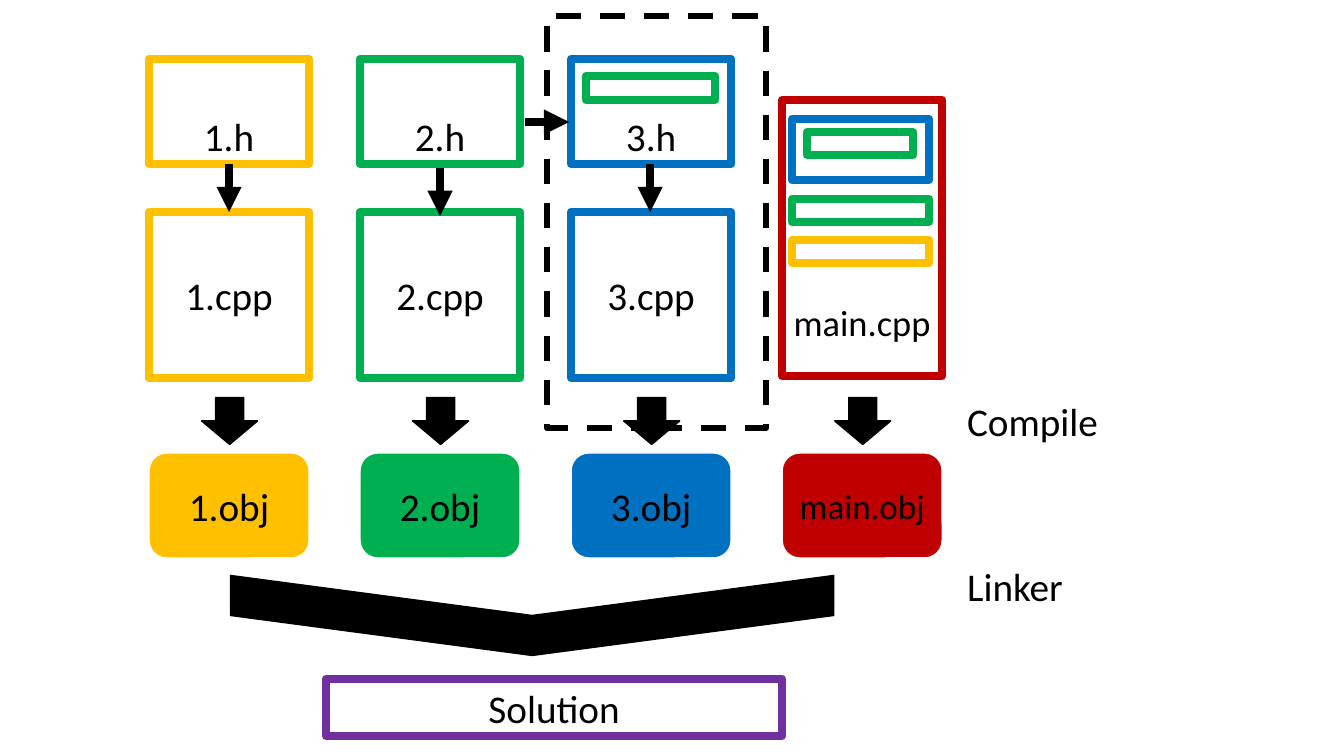
from dataclasses import dataclass
from typing import NamedTuple

from lxml import etree
from pptx import Presentation
from pptx import util as u
from pptx.dml.color import RGBColor
from pptx.enum import dml, shapes, text
from pptx.oxml import ns

PX = 914400 / 100.8


@dataclass(frozen=True)
class Theme:
    font: str = "Calibri"
    black: str = "000000"
    white: str = "FFFFFF"
    yellow: str = "FFC000"
    green: str = "00B050"
    blue: str = "0070C0"
    red: str = "C00000"
    purple: str = "7030A0"
    body: int = 28
    main_source: int = 26
    main_object: int = 25
    thick: float = 6
    dashed: float = 4.5
    thin: float = 1


class Area(NamedTuple):
    left: int
    top: int
    width: int
    height: int


class Unit(NamedTuple):
    name: str
    color: str
    source_top: int
    source_height: int
    source_size: int
    object_size: int
    source_anchor: text.MSO_ANCHOR = text.MSO_ANCHOR.MIDDLE
    source_inset: int = 5


class Include(NamedTuple):
    start: tuple[int, int]
    end: tuple[int, int]


class Strip(NamedTuple):
    area: Area
    color: str


THEME = Theme()
FIRST_LEFT, PITCH, BOX_WIDTH = 149, 211, 160
HEADER_TOP, HEADER_HEIGHT = 59, 105
OBJECT_TOP, OBJECT_HEIGHT = 453, 105
COMPILE_MIDDLE = 421
SHAPE = shapes.MSO_SHAPE

UNITS = [
    Unit(name, color, 212, 166, THEME.body, THEME.body)
    for name, color in (("1", THEME.yellow), ("2", THEME.green), ("3", THEME.blue))
] + [
    Unit("main", THEME.red, 100, 276, THEME.main_source, THEME.main_object,
         text.MSO_ANCHOR.BOTTOM, 32)
]
INCLUDES = [
    Include((229, 164), (229, 212)),
    Include((440, 168), (440, 216)),
    Include((650, 164), (650, 212)),
    Include((525, 122), (569, 122)),
]
STRIPS = [
    Strip(Area(586, 76, 129, 24), THEME.green),
    Strip(Area(792, 119, 137, 61), THEME.blue),
    Strip(Area(807, 132, 106, 23), THEME.green),
    Strip(Area(792, 199, 137, 23), THEME.green),
    Strip(Area(792, 240, 137, 23), THEME.yellow),
]
STAGES = {"Compile": Area(957, 392, 162, 57), "Linker": Area(957, 557, 120, 57)}

deck = Presentation()
deck.slide_width, deck.slide_height = u.Inches(13.33), u.Inches(7.5)
page = deck.slides.add_slide(deck.slide_layouts[6])


def emu(*pixels: int) -> list[int]:
    return [round(value * PX) for value in pixels]


def write(box, words: str, size: int, align: text.PP_ALIGN) -> None:
    box.text_frame.word_wrap = True
    para = box.text_frame.paragraphs[0]
    para.alignment = align
    span = para.add_run()
    span.text = words
    span.font.name = THEME.font
    span.font.size = u.Pt(size)
    span.font.color.rgb = RGBColor.from_string(THEME.black)


def add_box(kind: SHAPE, area: Area, line: str, weight: float, fill: str = ""):
    box = page.shapes.add_shape(kind, *emu(*area))
    box.shadow.inherit = False
    if fill:
        box.fill.solid()
        box.fill.fore_color.rgb = RGBColor.from_string(fill)
    else:
        box.fill.background()
    box.line.color.rgb = RGBColor.from_string(line)
    box.line.width = u.Pt(weight)
    return box


def add_frame(area: Area, color: str, words: str = "", size: int = THEME.body,
              anchor: text.MSO_ANCHOR = text.MSO_ANCHOR.MIDDLE, inset: int = 5) -> None:
    box = add_box(SHAPE.RECTANGLE, area, color, THEME.thick)
    if words:
        box.text_frame.vertical_anchor = anchor
        box.text_frame.margin_bottom = emu(inset)[0]
        write(box, words, size, text.PP_ALIGN.CENTER)


def add_object(area: Area, unit: Unit) -> None:
    box = add_box(SHAPE.ROUNDED_RECTANGLE, area, THEME.white, THEME.thin, unit.color)
    box.text_frame.vertical_anchor = text.MSO_ANCHOR.MIDDLE
    write(box, f"{unit.name}.obj", unit.object_size, text.PP_ALIGN.CENTER)


def add_downward(kind: SHAPE, middle_x: int, middle_y: int, depth: int, span: int) -> None:
    area = Area(middle_x - depth // 2, middle_y - span // 2, depth, span)
    add_box(kind, area, THEME.black, THEME.thin, THEME.black).rotation = 90


def add_include(include: Include) -> None:
    arrow = page.shapes.add_connector(
        shapes.MSO_CONNECTOR.STRAIGHT, *emu(*include.start, *include.end))
    arrow.line.color.rgb = RGBColor.from_string(THEME.black)
    arrow.line.width = u.Pt(THEME.thick)
    etree.SubElement(arrow.line._get_or_add_ln(), ns.qn("a:tailEnd"), type="triangle")
    etree.SubElement(arrow._element.spPr, ns.qn("a:effectLst"))


for column, unit in enumerate(UNITS):
    left = FIRST_LEFT + column * PITCH
    if unit.name != "main":
        add_frame(Area(left, HEADER_TOP, BOX_WIDTH, HEADER_HEIGHT), unit.color,
                  f"{unit.name}.h", anchor=text.MSO_ANCHOR.BOTTOM)
    add_frame(Area(left, unit.source_top, BOX_WIDTH, unit.source_height), unit.color,
              f"{unit.name}.cpp", unit.source_size, unit.source_anchor, unit.source_inset)
    add_object(Area(left, OBJECT_TOP, BOX_WIDTH, OBJECT_HEIGHT), unit)
    add_downward(SHAPE.RIGHT_ARROW, left + BOX_WIDTH // 2, COMPILE_MIDDLE, 47, 56)

for include in INCLUDES:
    add_include(include)

add_downward(SHAPE.CHEVRON, 532, 615, 80, 603)
add_frame(Area(326, 679, 456, 57), THEME.purple, "Solution")

for stage, area in STAGES.items():
    label = page.shapes.add_textbox(*emu(*area))
    write(label, stage, THEME.body, text.PP_ALIGN.LEFT)

for strip in STRIPS:
    add_frame(strip.area, strip.color)

module_outline = add_box(SHAPE.RECTANGLE, Area(547, 16, 219, 412), THEME.black, THEME.dashed)
module_outline.line.dash_style = dml.MSO_LINE.DASH

deck.save("out.pptx")
